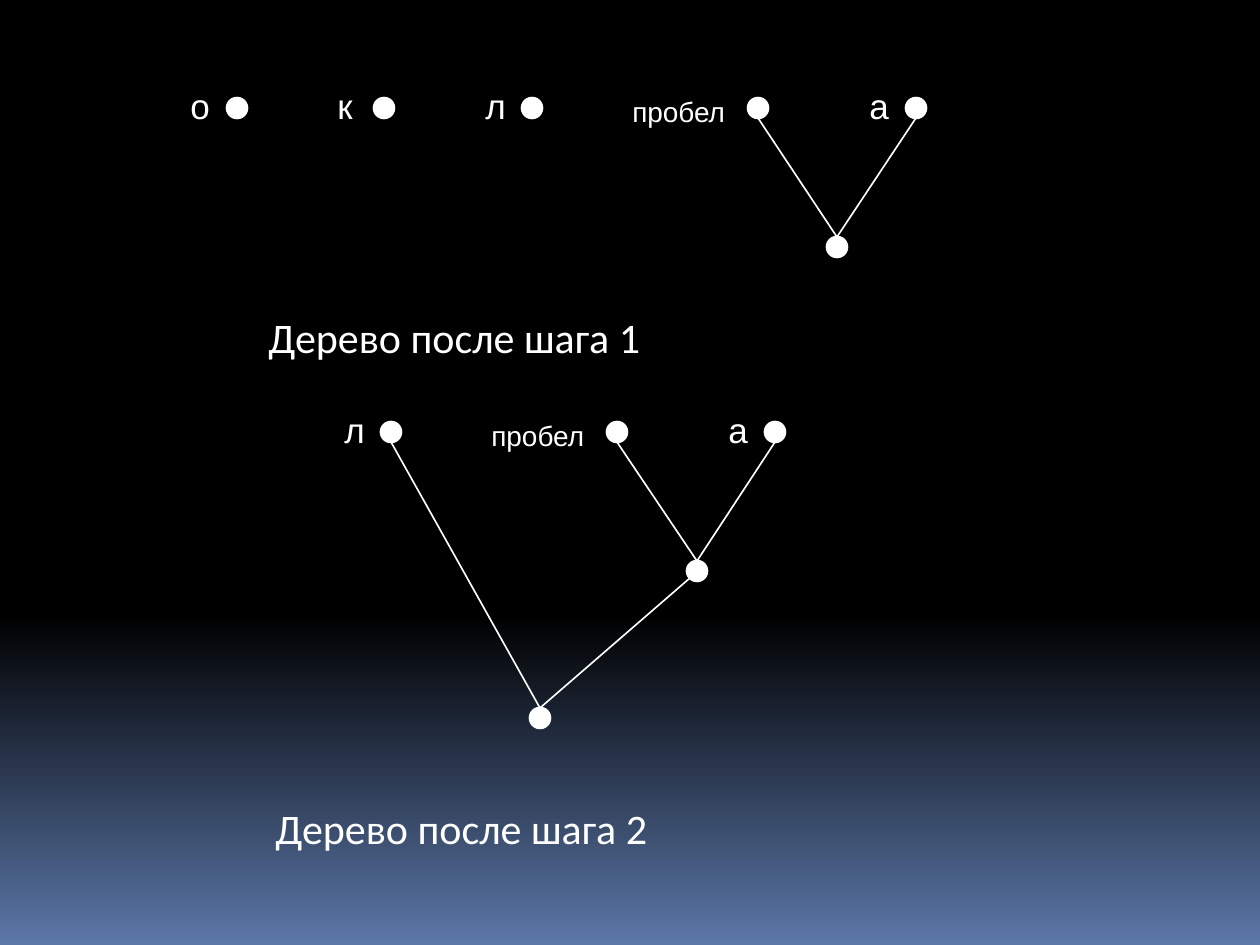
from pptx import Presentation
from pptx.dml.color import RGBColor
from pptx.enum.shapes import MSO_CONNECTOR, MSO_SHAPE
from pptx.enum.text import MSO_ANCHOR, MSO_AUTO_SIZE, PP_ALIGN
from pptx.oxml.ns import qn
from pptx.util import Pt
from lxml import etree

PX = 914400 / 126
WHITE = RGBColor(0xFF, 0xFF, 0xFF)
BLACK = RGBColor(0, 0, 0)
BLUE = RGBColor(0x5B, 0x77, 0xA8)
OVAL, RECT = MSO_SHAPE.OVAL, MSO_SHAPE.RECTANGLE
STRAIGHT = MSO_CONNECTOR.STRAIGHT
LEFT, TOP = PP_ALIGN.LEFT, MSO_ANCHOR.TOP
GROW = MSO_AUTO_SIZE.SHAPE_TO_FIT_TEXT
DOT = 20
HALF = DOT // 2
DIAG = 7  # offset from a dot's centre to its rim at 45 degrees


def emu(*px):
    return [round(n * PX) for n in px]


def write(text, box, size, font="Arial", frame=True):
    """Add text, in a black outlined rectangle if frame is set."""
    if frame:
        shape = slide.shapes.add_shape(RECT, *emu(*box))
        shape.shadow.inherit = False
        shape.fill.background()
        shape.line.color.rgb = BLACK
        shape.line.width = Pt(0.75)
    else:
        shape = slide.shapes.add_textbox(*emu(*box))
    tf = shape.text_frame
    tf.word_wrap = frame
    tf.auto_size = GROW
    tf.vertical_anchor = TOP
    para = tf.paragraphs[0]
    para.alignment = LEFT
    run = para.add_run()
    run.text = text
    run.font.name = font
    run.font.size = Pt(size)
    run.font.color.rgb = WHITE


prs = Presentation()
prs.slide_width, prs.slide_height = emu(1260, 945)
slide = prs.slides.add_slide(prs.slide_layouts[6])

# Black upper part that fades to blue at the foot
fill = slide.background.fill
fill.gradient()
fill.gradient_angle = 270
for stop, pos, color in zip(fill.gradient_stops, (0.65, 1), (BLACK, BLUE)):
    stop.position = pos
    stop.color.rgb = color

# Each node: name, label, left, top
nodes = [
    ("o1", "о", 227, 98), ("k1", "к", 374, 98), ("l1", "л", 522, 98),
    ("gap1", "пробел", 748, 98), ("a1", "а", 906, 98), ("join1", "", 827, 237),
    ("l2", "л", 381, 422), ("gap2", "пробел", 607, 422), ("a2", "а", 765, 422),
    ("join2", "", 687, 561), ("root", "", 530, 708),
]
dots = {}
mids = {}
for name, label, x, y in nodes:
    if len(label) > 1:
        write(label, (x - 128, y - 10, 128, 47), 16)
    elif label:
        write(label, (x - 49, y - 20, 43, 55), 20)
    dot = slide.shapes.add_shape(OVAL, *emu(x, y, DOT, DOT))
    dot.shadow.inherit = False
    dot.fill.solid()
    dot.fill.fore_color.rgb = WHITE
    dot.line.color.rgb = WHITE
    dot.line.width = Pt(1.5)
    dots[name] = dot
    mids[name] = (x + HALF, y + HALF)

# Child, parent, and where the edge leaves the child's centre
edges = [
    ("gap1", "join1", 0, HALF), ("a1", "join1", 0, HALF),
    ("gap2", "join2", 0, HALF), ("a2", "join2", 0, HALF),
    ("l2", "root", 0, HALF), ("join2", "root", -DIAG, DIAG),
]
for child, parent, dx, dy in edges:
    x, y = mids[child]
    px, py = mids[parent]
    edge = slide.shapes.add_connector(
        STRAIGHT, *emu(x + dx, y + dy, px, py - HALF))
    edge.end_connect(dots[parent], 0)
    edge.line.color.rgb = WHITE
    edge.line.width = Pt(0.94)
    etree.SubElement(edge._element.spPr, qn("a:effectLst"))

for step, x, y in ((1, 256, 305), (2, 263, 796)):
    write(f"Дерево после шага {step}", (x, y, 401, 63), 24,
          font="Calibri", frame=False)

prs.save("out.pptx")
